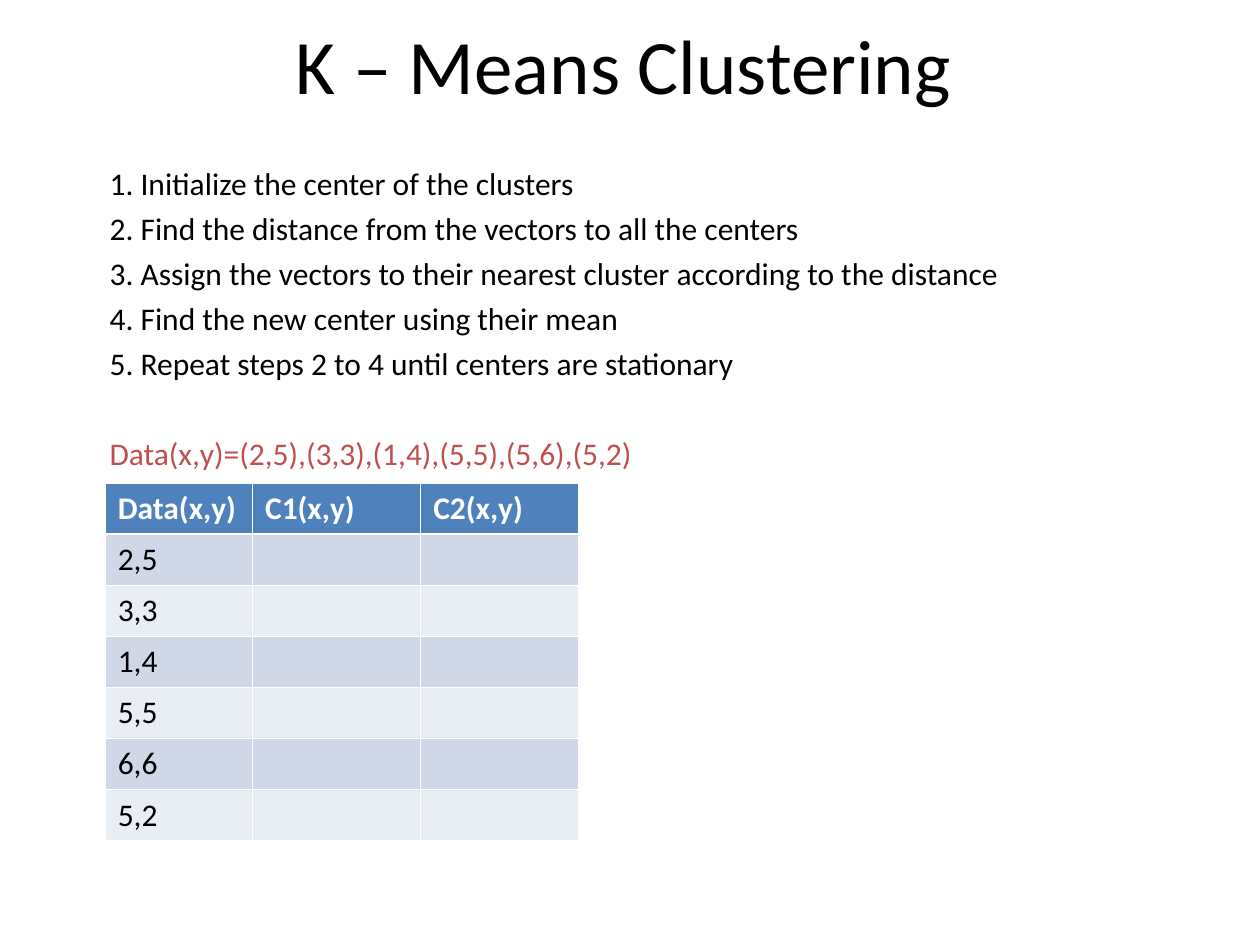
import pptx
import pptx.dml.color
import pptx.enum.text
import pptx.oxml
import pptx.oxml.ns
import pptx.util
from dataclasses import dataclass
from pptx.util import Cm


@dataclass(frozen=True)
class Theme:
    font: str = "Calibri"
    title_size: int = 44
    body_size: int = 18
    text: str = "000000"
    accent: str = "C0504D"
    header: str = "4F81BD"
    header_text: str = "FFFFFF"
    bands: tuple = ("D0D8E8", "E9EDF4")
    border: str = "FFFFFF"
    thin: float = 0.45
    thick: float = 1.47


THEME = Theme()

STEPS = [
    "1. Initialize the center of the clusters",
    "2. Find the distance from the vectors to all the centers",
    "3. Assign the vectors to their nearest cluster according to the distance",
    "4. Find the new center using their mean",
    "5. Repeat steps 2 to 4 until centers are stationary",
]
DATA_LINE = "Data(x,y)=(2,5),(3,3),(1,4),(5,5),(5,6),(5,2)"
HEADINGS = ["Data(x,y)", "C1(x,y)", "C2(x,y)"]
POINTS = ["2,5", "3,3", "1,4", "5,5", "6,6", "5,2"]


def rgb(value):
    return pptx.dml.color.RGBColor.from_string(value)


def add_span(para, text, size, color, bold=False):
    span = para.add_run()
    span.text = text
    span.font.name = THEME.font
    span.font.size = pptx.util.Pt(size)
    span.font.bold = bold
    span.font.color.rgb = rgb(color)


def set_title(slide, text):
    box = slide.shapes.title
    box.left, box.top, box.width, box.height = Cm(1.07), Cm(0.43), Cm(23), Cm(1.47)
    frame = box.text_frame
    frame.auto_size = pptx.enum.text.MSO_AUTO_SIZE.NONE
    frame.vertical_anchor = pptx.enum.text.MSO_ANCHOR.MIDDLE
    frame.margin_top, frame.margin_bottom = Cm(0.25), Cm(0)
    para = frame.paragraphs[0]
    para.alignment = pptx.enum.text.PP_ALIGN.CENTER
    add_span(para, text, THEME.title_size, THEME.text)


def add_steps(slide, steps, data_line):
    box = slide.shapes.add_textbox(Cm(0.84), Cm(3.18), Cm(24.26), Cm(14.4))
    frame = box.text_frame
    frame.word_wrap = True
    frame.margin_left = Cm(1.37)
    lines = [(step, THEME.text, 4.1) for step in steps]
    lines.append((data_line, THEME.accent, 30.2))
    for index, (text, color, gap) in enumerate(lines):
        para = frame.add_paragraph() if index else frame.paragraphs[0]
        para.space_before = pptx.util.Pt(gap if index else 0)
        add_span(para, text, THEME.body_size, color)


def set_borders(cell, top, bottom):
    # Border lines come before the fill in the cell properties
    properties = cell._tc.get_or_add_tcPr()
    widths = {"lnL": THEME.thin, "lnR": THEME.thin, "lnT": top, "lnB": bottom}
    for index, (side, width) in enumerate(widths.items()):
        line = pptx.oxml.parse_xml(
            f'<a:{side} {pptx.oxml.ns.nsdecls("a")} w="{pptx.util.Pt(width)}">'
            f'<a:solidFill><a:srgbClr val="{THEME.border}"/></a:solidFill></a:{side}>'
        )
        properties.insert(index, line)


def add_points_table(slide, headings, points):
    rows = [headings] + [[point, "", ""] for point in points]
    widths = [Cm(2.97), Cm(3.39), Cm(3.17)]
    row_height = Cm(1.03)
    table = slide.shapes.add_table(
        len(rows), len(headings), Cm(2.12), Cm(9.74), sum(widths), row_height * len(rows)
    ).table
    for column, width in zip(table.columns, widths):
        column.width = width
    for row_index, texts in enumerate(rows):
        is_header = row_index == 0
        table.rows[row_index].height = row_height
        fill = THEME.header if is_header else THEME.bands[(row_index - 1) % 2]
        color = THEME.header_text if is_header else THEME.text
        top = THEME.thick if row_index == 1 else THEME.thin
        bottom = THEME.thick if is_header else THEME.thin
        for column_index, text in enumerate(texts):
            cell = table.cell(row_index, column_index)
            cell.fill.solid()
            cell.fill.fore_color.rgb = rgb(fill)
            set_borders(cell, top, bottom)
            if text:
                para = cell.text_frame.paragraphs[0]
                add_span(para, text, THEME.body_size, color, is_header)


def main():
    deck = pptx.Presentation()
    deck.slide_width, deck.slide_height = Cm(25.4), Cm(19.05)
    slide = deck.slides.add_slide(deck.slide_layouts.get_by_name("Title Only"))

    # Algorithm steps and the sample data
    add_steps(slide, STEPS, DATA_LINE)
    # Heading
    set_title(slide, "K – Means Clustering")
    # Worksheet for the distances to each center
    add_points_table(slide, HEADINGS, POINTS)

    deck.save("out.pptx")


if __name__ == "__main__":
    main()
